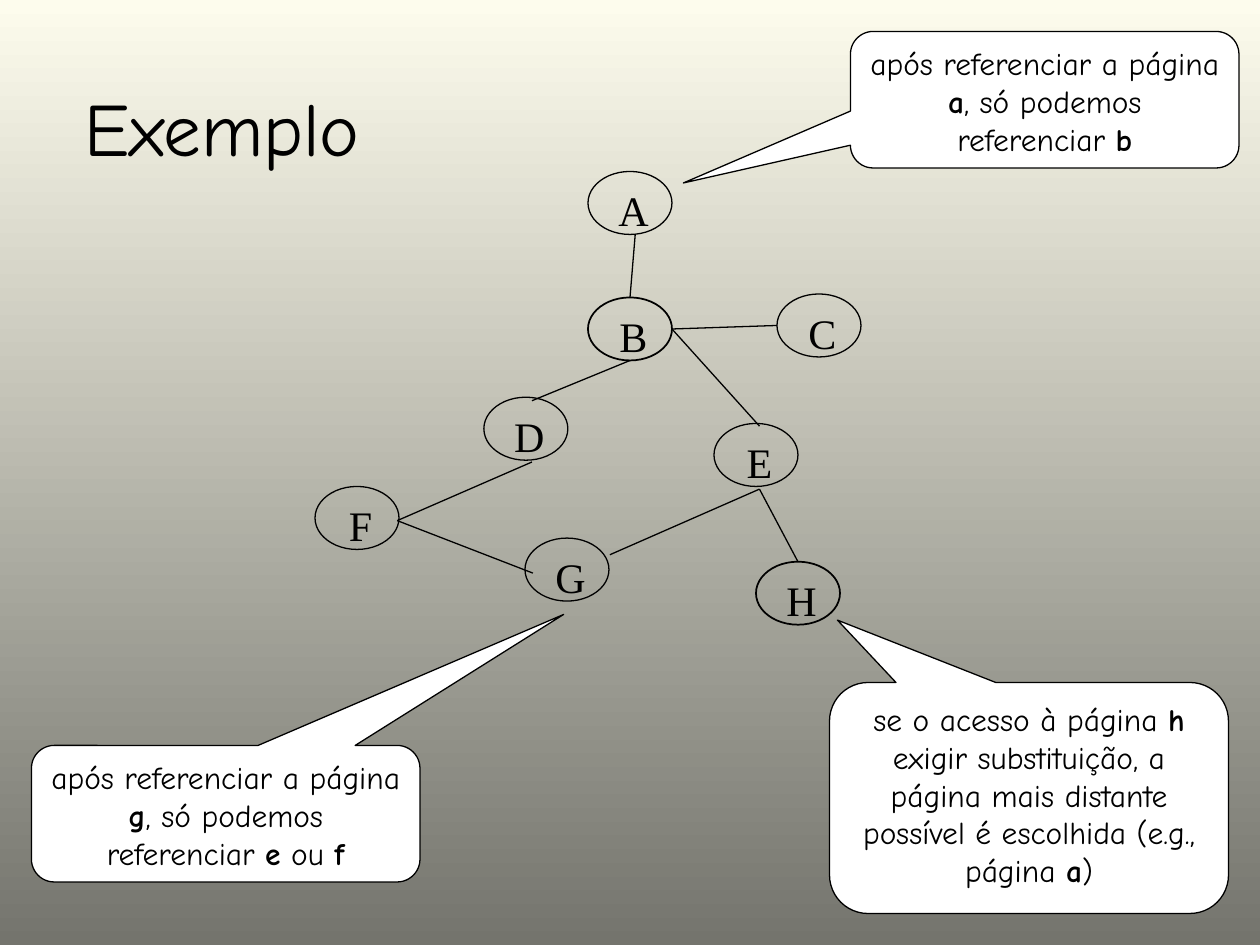
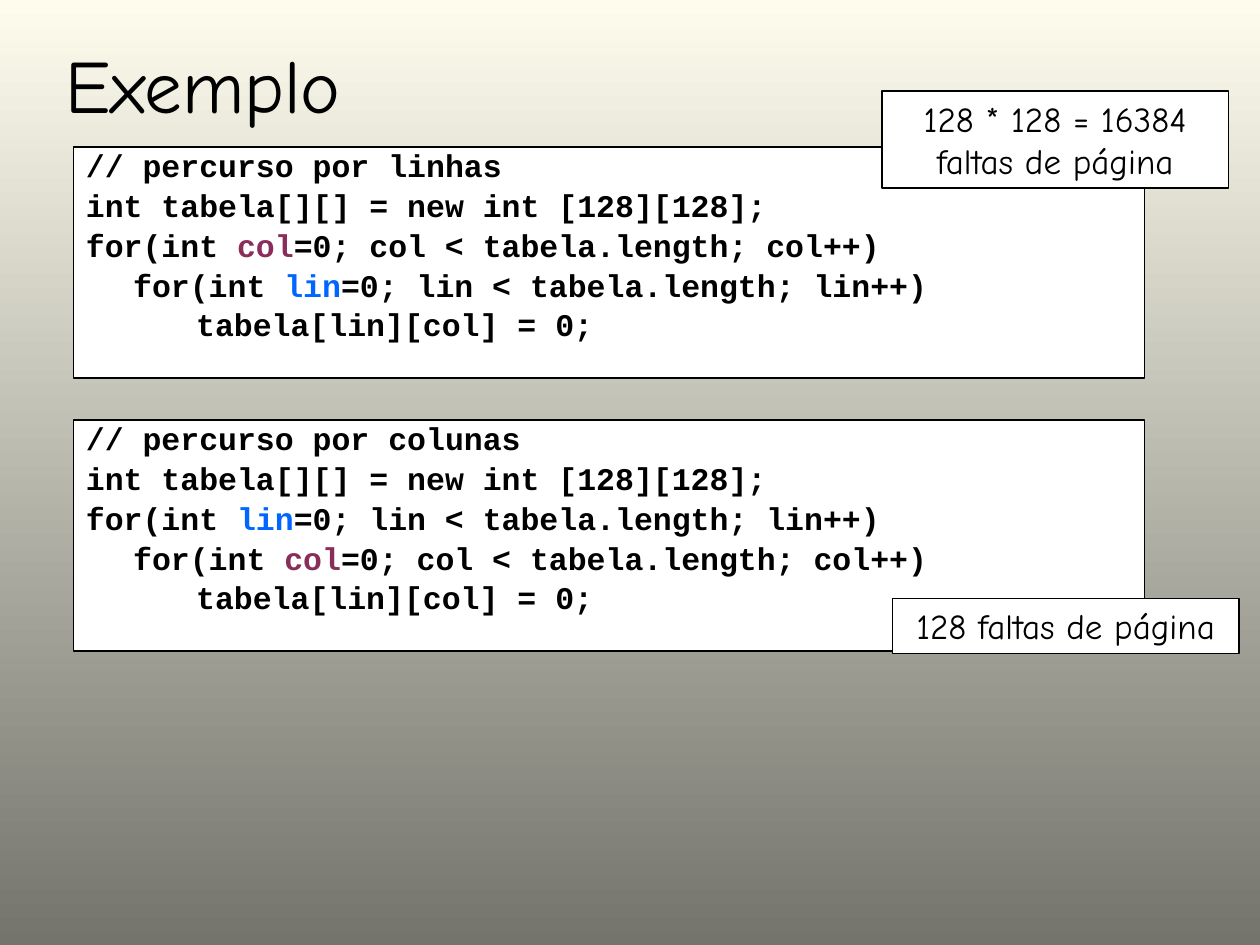
from lxml import etree
from pptx import Presentation
from pptx.dml.color import RGBColor
from pptx.enum.shapes import MSO_CONNECTOR, MSO_SHAPE
from pptx.enum.text import MSO_ANCHOR, MSO_AUTO_SIZE, PP_ALIGN
from pptx.oxml.ns import qn
from pptx.util import Pt

ELLIPSE, RECT = MSO_SHAPE.OVAL, MSO_SHAPE.RECTANGLE
CALLOUT = MSO_SHAPE.ROUNDED_RECTANGULAR_CALLOUT
STRAIGHT = MSO_CONNECTOR.STRAIGHT
TOP, MIDDLE = MSO_ANCHOR.TOP, MSO_ANCHOR.MIDDLE
LEFT, CENTER = PP_ALIGN.LEFT, PP_ALIGN.CENTER
NO_AUTOFIT = MSO_AUTO_SIZE.NONE

COLORS = {
    "ink": "000000", "paper": "FFFFFF",
    "bg_top": "FDFCED", "bg_bottom": "74746D",
    "col": "892D5B", "lin": "0066FF",
}
HAND, CODE, SERIF = "Comic Neue", "Courier New", "Times New Roman"
TITLE_ONLY = 5
NODE_W, NODE_H = 48, 36

# name: left, top, outline width
NODES = {
    "A": (336, 98, 0.75), "D": (276.5, 227, 0.75), "F": (180, 278, 0.75),
    "E": (408, 242, 0.75), "G": (300, 307.5, 0.75), "H": (432, 321, 1),
    "B": (336, 170, 1), "C": (444, 168, 0.75),
}
B_RIGHT, D_TOP, D_BOTTOM = (384, 188), (304, 229), (304, 264)
E_TOP, E_BOTTOM, F_RIGHT = (434, 243.5), (434, 279.5), (227, 297.5)
EDGES = [
    ((348.5, 317), E_BOTTOM), ((363, 134), (360, 170)), (B_RIGHT, E_TOP),
    ((360, 206), D_TOP), ((444, 186), B_RIGHT), (D_BOTTOM, F_RIGHT),
    (F_RIGHT, (304.5, 327.5)), (E_BOTTOM, (456, 321)),
]


def rgb(name):
    return RGBColor.from_string(COLORS[name])


class Deck:
    def __init__(self):
        self.prs = Presentation()
        self.prs.slide_width, self.prs.slide_height = Pt(720), Pt(540)
        self.slide = None
        fill = self.prs.slide_master.background.fill
        fill.gradient()
        fill.gradient_angle = 270
        for stop, name in zip(fill.gradient_stops, ("bg_top", "bg_bottom")):
            stop.color.rgb = rgb(name)

    def new_slide(self, title, left, top):
        layout = self.prs.slide_layouts[TITLE_ONLY]
        self.slide = self.prs.slides.add_slide(layout)
        sp = self.slide.shapes.title
        sp.left, sp.top, sp.width, sp.height = map(Pt, (left, top, 677, 59))
        self.frame(sp, MIDDLE)
        sp.text_frame.text = title
        p = sp.text_frame.paragraphs[0]
        p.alignment = LEFT
        self.style(p.runs[0], HAND, 43)

    def frame(self, sp, anchor=TOP):
        tf = sp.text_frame
        tf.word_wrap = True
        tf.auto_size = NO_AUTOFIT
        tf.vertical_anchor = anchor
        tf.margin_left = tf.margin_right = Pt(7.2)
        tf.margin_top = tf.margin_bottom = Pt(3.6)
        return tf

    def style(self, r, font, size, bold=False, color="ink"):
        r.font.name, r.font.size, r.font.bold = font, Pt(size), bold
        r.font.color.rgb = rgb(color)

    def shape(self, kind, box, line=0.75, fill="paper"):
        sp = self.slide.shapes.add_shape(kind, *map(Pt, box))
        sp.shadow.inherit = False
        sp.line.color.rgb = rgb("ink")
        sp.line.width = Pt(line)
        if fill:
            sp.fill.solid()
            sp.fill.fore_color.rgb = rgb(fill)
        else:
            sp.fill.background()
        return sp

    def node(self, name, left, top, line):
        self.shape(ELLIPSE, (left, top, NODE_W, NODE_H), line, fill=None)
        box = (left + 5, top + 1.5, 42, NODE_H)
        tf = self.frame(self.slide.shapes.add_textbox(*map(Pt, box)))
        tf.margin_top = Pt(6)
        tf.text = name
        tf.paragraphs[0].alignment = CENTER
        self.style(tf.paragraphs[0].runs[0], SERIF, 24)

    def edge(self, start, end):
        cn = self.slide.shapes.add_connector(STRAIGHT, *map(Pt, start + end))
        cn.line.color.rgb = rgb("ink")
        cn.line.width = Pt(0.75)
        etree.SubElement(cn._element.spPr, qn("a:effectLst"))

    def callout(self, box, tip, text):
        """Speech bubble; parts of the text between bars are bold."""
        sp = self.shape(CALLOUT, box)
        sp.adjustments[0], sp.adjustments[1] = tip
        p = self.frame(sp).paragraphs[0]
        p.alignment = CENTER
        for i, part in enumerate(text.split("|")):
            if part:
                r = p.add_run()
                r.text = part
                self.style(r, HAND, 18, bold=i % 2 == 1)

    def code(self, top, lines):
        """Listing; a word between bars takes the colour of that name."""
        tf = self.frame(self.shape(RECT, (42, top, 612, 132)))
        for n, line in enumerate(lines):
            p = tf.add_paragraph() if n else tf.paragraphs[0]
            self.code_indent(p)
            p.alignment = LEFT
            p.line_spacing = 0.8
            p.space_before = Pt(5.5 if n else 0)
            for i, part in enumerate(line.split("|")):
                r = p.add_run()
                r.text = part
                self.style(r, CODE, 18, True, part if i % 2 else "ink")

    def code_indent(self, p):
        """Hanging indent with a tab stop at every inch."""
        ppr = p._p.get_or_add_pPr()
        ppr.set("marL", str(Pt(27)))
        ppr.set("indent", str(Pt(-27)))
        tabs = etree.SubElement(ppr, qn("a:tabLst"))
        for i in range(8):
            etree.SubElement(tabs, qn("a:tab"), pos=str(Pt(72 * i)), algn="l")

    def note(self, box, text):
        tf = self.frame(self.shape(RECT, box, line=1))
        tf.text = text
        tf.paragraphs[0].alignment = CENTER
        self.style(tf.paragraphs[0].runs[0], HAND, 20)


def loops(order, outer, inner):
    """Lines of a table walk with the given loop variables."""
    def head(var):
        return f"for(int |{var}|=0; {var} < tabela.length; {var}++)"
    return [f"// percurso por {order}", "int tabela[][] = new int [128][128];",
            head(outer), "\t" + head(inner), "\t\ttabela[lin][col] = 0;"]


def main():
    deck = Deck()

    deck.new_slide("Exemplo", 41, 43)
    for name, place in NODES.items():
        deck.node(name, *place)
    for start, end in EDGES:
        deck.edge(start, end)
    deck.callout((486, 18, 222, 78), (-0.93, 0.61),
                 "após referenciar a página |a|, só podemos referenciar |b|")
    deck.callout((18, 426, 222, 78), (0.87, -1.46),
                 "após referenciar a página |g|, só podemos referenciar "
                 "|e| ou |f|")
    deck.callout((474, 390, 228, 132), (-0.48, -0.77),
                 "se o acesso à página |h| exigir substituição, a página mais "
                 "distante possível é escolhida (e.g., página |a|)")

    deck.new_slide("Exemplo", 30, 18)
    deck.code(84, loops("linhas", "col", "lin"))
    deck.code(240, loops("colunas", "lin", "col"))
    deck.note((504, 52, 198, 55.5), "128 * 128 = 16384 faltas de página")
    deck.note((510, 342, 198, 31.5), "128 faltas de página")

    deck.prs.save("out.pptx")


if __name__ == "__main__":
    main()
